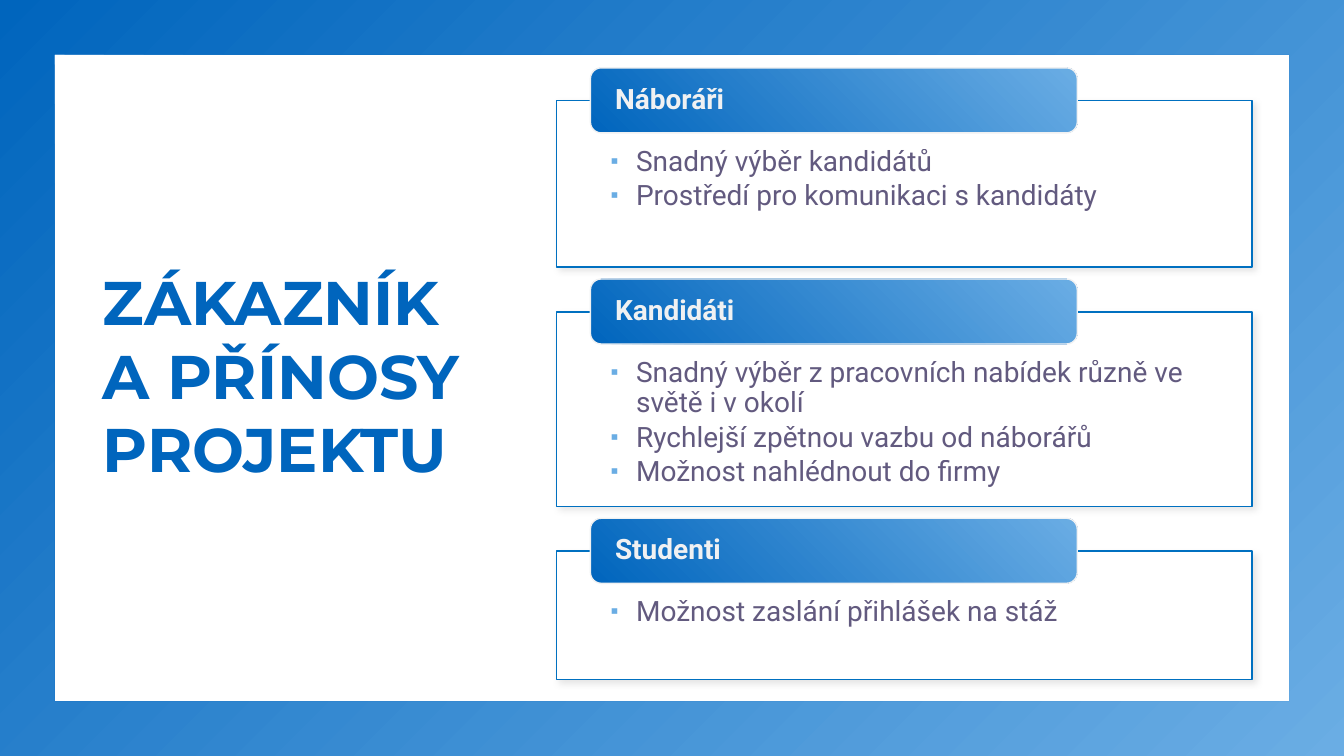
"""Builds the slide on the project's customers and what each group gains."""
from lxml import etree
from pptx import Presentation
from pptx.dml.color import RGBColor
from pptx.enum.shapes import MSO_SHAPE
from pptx.enum.text import MSO_ANCHOR, PP_ALIGN
from pptx.oxml import parse_xml
from pptx.oxml.ns import nsdecls, qn
from pptx.util import Cm, Pt

FRAME, RECTANGLE, ROUNDED = MSO_SHAPE.FRAME, MSO_SHAPE.RECTANGLE, MSO_SHAPE.ROUNDED_RECTANGLE
TOP, MIDDLE, LEFT = MSO_ANCHOR.TOP, MSO_ANCHOR.MIDDLE, PP_ALIGN.LEFT

COLORS = {"dark": "0065BD", "light": "6AADE4", "white": "FFFFFF", "pale": "F0F1F2",
          "border": "0070C0", "text": "201449", "shadow": "000000"}
TITLE = "ZÁKAZNÍK A PŘÍNOSY PROJEKTU"
GROUPS = [
    ("Náboráři", 4.19, ["Snadný výběr kandidátů",
                        "Prostředí pro komunikaci s kandidáty"]),
    ("Kandidáti", 4.9, ["Snadný výběr z pracovních nabídek různě ve světě i v okolí",
                        "Rychlejší zpětnou vazbu od náborářů",
                        "Možnost nahlédnout do firmy"]),
    ("Studenti", 3.23, ["Možnost zaslání přihlášek na stáž"]),
]
SLIDE_WIDTH, SLIDE_HEIGHT = 33.87, 19.05
PANEL_LEFT, PANEL_TOP, PANEL_WIDTH, PANEL_GAP = 14.02, 2.54, 17.53, 1.13
LABEL_LEFT, LABEL_RISE, LABEL_WIDTH, LABEL_HEIGHT = 14.88, 0.83, 12.27, 1.64


def color(name):
    return RGBColor.from_string(COLORS[name])


def add_shape(kind, left, top, width, height, line=None):
    shape = slide.shapes.add_shape(kind, Cm(left), Cm(top), Cm(width), Cm(height))
    shape.shadow.inherit = False
    if line:
        shape.line.color.rgb = color(line)
        shape.line.width = Pt(1)
    else:
        shape.line.fill.background()
    return shape


def fill_gradient(shape, angle):
    shape.fill.gradient()
    shape.fill.gradient_angle = angle
    for stop, name in zip(shape.fill.gradient_stops, ("dark", "light")):
        stop.color.rgb = color(name)


def write(shape, lines, anchor, insets, font_name, size, color_name, bold=False):
    frame = shape.text_frame
    frame.word_wrap = True
    frame.vertical_anchor = anchor
    frame.margin_left, frame.margin_top, frame.margin_right, frame.margin_bottom = map(Cm, insets)
    frame.text = "\n".join(lines)
    for paragraph in frame.paragraphs:
        paragraph.alignment = LEFT
        font = paragraph.runs[0].font
        font.name, font.size, font.bold = font_name, Pt(size), bold
        font.color.rgb = color(color_name)
    return frame.paragraphs


def add_shadow(shape):
    effects = shape._element.spPr.find(qn("a:effectLst"))
    effects.append(parse_xml(
        f'<a:outerShdw {nsdecls("a")} blurRad="{Pt(5)}" dist="{Pt(3)}" dir="2700000" '
        f'algn="tl" rotWithShape="0"><a:srgbClr val="{COLORS["shadow"]}">'
        '<a:alpha val="9000"/></a:srgbClr></a:outerShdw>'))


def add_bullet(paragraph):
    paragraph.level = 1
    paragraph.line_spacing = 0.9
    paragraph.space_after = Pt(3)
    properties = paragraph._p.get_or_add_pPr()
    properties.set("marL", str(Cm(0.64)))
    properties.set("indent", str(-Cm(0.64)))
    bullet_color = etree.SubElement(properties, qn("a:buClr"))
    etree.SubElement(bullet_color, qn("a:srgbClr"), val=COLORS["light"])
    etree.SubElement(properties, qn("a:buSzPct"), val="80000")
    etree.SubElement(properties, qn("a:buFont"), typeface="Arial")
    etree.SubElement(properties, qn("a:buChar"), char="▪")
    text_color = paragraph.runs[0]._r.rPr.find(".//" + qn("a:srgbClr"))
    etree.SubElement(text_color, qn("a:alpha"), val="70000")


def add_group(name, top, height, benefits):
    panel = add_shape(RECTANGLE, PANEL_LEFT, top, PANEL_WIDTH, height, "border")
    panel.fill.solid()
    panel.fill.fore_color.rgb = color("white")
    add_shadow(panel)
    for paragraph in write(panel, benefits, TOP, (1.37, 1.17, 1.37, 0.41), "Roboto", 20, "text"):
        add_bullet(paragraph)
    label = add_shape(ROUNDED, LABEL_LEFT, top - LABEL_RISE, LABEL_WIDTH, LABEL_HEIGHT, "pale")
    fill_gradient(label, 45)
    heading = write(label, [name], MIDDLE, (0.54, 0, 0.54, 0), "Roboto", 20, "pale", True)[0]
    heading.line_spacing = 0.9


presentation = Presentation()
presentation.slide_width, presentation.slide_height = Cm(SLIDE_WIDTH), Cm(SLIDE_HEIGHT)
slide = presentation.slides.add_slide(presentation.slide_layouts[6])
slide.background.fill.solid()
slide.background.fill.fore_color.rgb = color("white")

border = add_shape(FRAME, 0, 0, SLIDE_WIDTH, SLIDE_HEIGHT)
border.adjustments[0] = 0.072
fill_gradient(border, 315)

title = slide.shapes.add_textbox(Cm(2.34), Cm(1.7), Cm(10.44), Cm(15.47))
write(title, [TITLE], MIDDLE, (0.25, 0.13, 0.25, 0.13), "Montserrat", 44, "dark", True)

panel_top = PANEL_TOP
for group_name, panel_height, group_benefits in GROUPS:
    add_group(group_name, panel_top, panel_height, group_benefits)
    panel_top += panel_height + PANEL_GAP

presentation.save("out.pptx")
